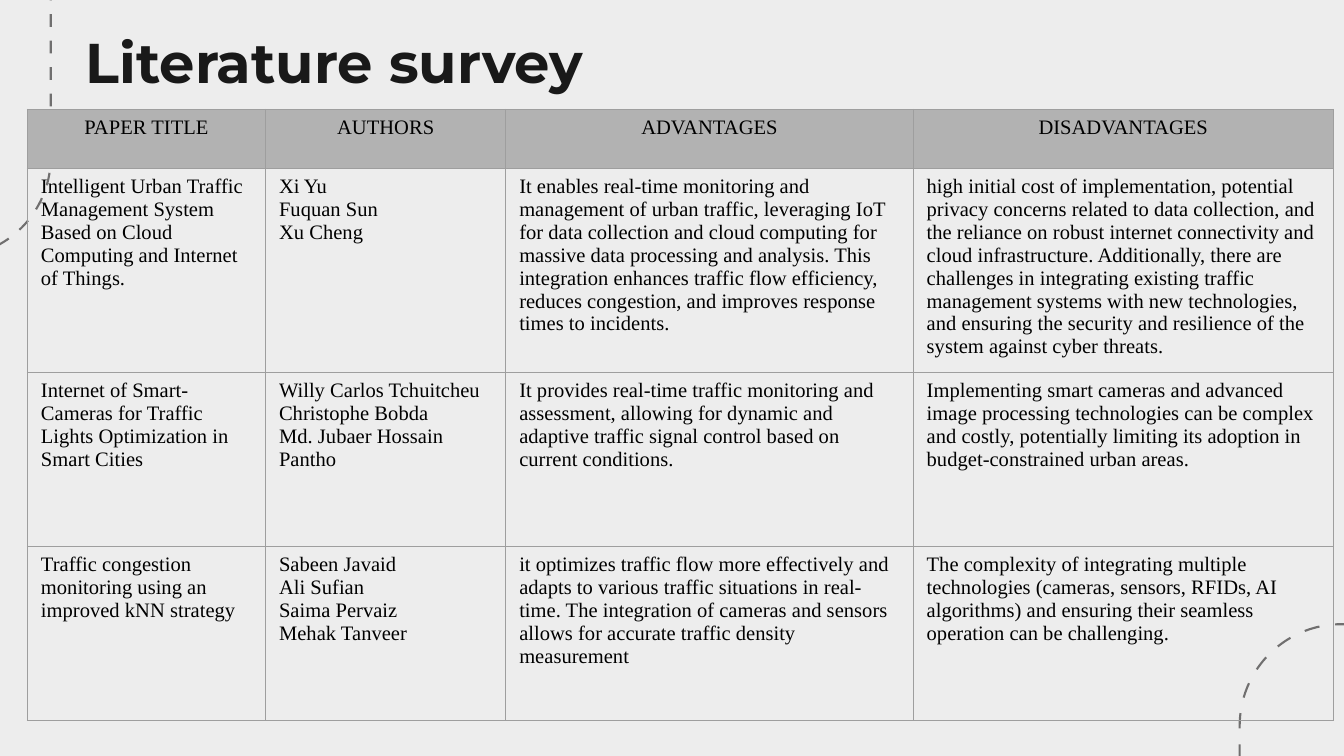
"""Build a one-slide literature survey with a bordered table and dashed arcs."""
from math import cos, pi, sin

from lxml import etree
from pptx import Presentation
from pptx.dml.color import RGBColor
from pptx.oxml import ns
from pptx.util import Cm, Pt
from pptx.enum import text

THEME = {
    "back": RGBColor.from_string("EDEDED"),
    "head": RGBColor.from_string("B2B2B2"),
    "title": RGBColor.from_string("191919"),
    "body": RGBColor.from_string("000000"),
    "dash": RGBColor.from_string("706F6F"),
    "rule": "9E9E9E",
    "rule_size": Pt(0.75),
    "title_font": ("Montserrat", Pt(30)),
    "body_font": ("Times New Roman", Pt(11)),
}
TITLE = "Literature survey"
HEADS = ["PAPER TITLE", "AUTHORS", "ADVANTAGES", "DISADVANTAGES"]
PAPERS = [
    (
        "Intelligent Urban Traffic Management System Based on Cloud Computing "
        "and Internet of Things.",
        "Xi Yu\nFuquan Sun\nXu Cheng",
        "It enables real-time monitoring and management of urban traffic, leveraging "
        "IoT for data collection and cloud computing for massive data processing and "
        "analysis. This integration enhances traffic flow efficiency, reduces "
        "congestion, and improves response times to incidents.",
        "high initial cost of implementation, potential privacy concerns related to "
        "data collection, and the reliance on robust internet connectivity and cloud "
        "infrastructure. Additionally, there are challenges in integrating existing "
        "traffic management systems with new technologies, and ensuring the security "
        "and resilience of the system against cyber threats.",
    ),
    (
        "Internet of Smart-Cameras for Traffic Lights Optimization in Smart Cities",
        "Willy Carlos Tchuitcheu\nChristophe Bobda\nMd. Jubaer Hossain Pantho",
        "It provides real-time traffic monitoring and assessment, allowing for dynamic "
        "and adaptive traffic signal control based on current conditions.",
        "Implementing smart cameras and advanced image processing technologies can be "
        "complex and costly, potentially limiting its adoption in budget-constrained "
        "urban areas.",
    ),
    (
        "Traffic congestion monitoring using an improved kNN strategy",
        "Sabeen Javaid\nAli Sufian\nSaima Pervaiz\nMehak Tanveer",
        "it optimizes traffic flow more effectively and adapts to various traffic "
        "situations in real-time. The integration of cameras and sensors allows for "
        "accurate traffic density measurement",
        "The complexity of integrating multiple technologies (cameras, sensors, RFIDs, "
        "AI algorithms) and ensuring their seamless operation can be challenging.",
    ),
]
COLS = [4.5, 4.54, 7.7, 7.94]
ROWS = [1.12, 3.73, 3.29, 3.29]
ROUTES = [
    dict(mid=(25.35, 13.72), rad=1.92, lead=1.82, turn=-1, sweep=pi / 2,
         step=0.59, dash=0.29, end=6.19),
    dict(mid=(-0.93, 2.97), rad=1.89, lead=3.2, turn=1, sweep=pi,
         step=0.5, dash=0.24, end=16.05),
]
HALF = 0.02
PARTS = 6


def spot(route, dist, off):
    size, turn = route["rad"], route["turn"]
    past = dist - route["lead"]
    bend = min(max(0, past / size), route["sweep"])
    run = past - bend * size
    x, y = route["mid"]
    rad = size + off
    return (
        Cm(x + turn * (rad * cos(bend) - run * sin(bend))),
        Cm(y + turn * (rad * sin(bend) + run * cos(bend))),
    )


def draw_route(slide, route):
    pen = None
    start = 0
    while start < route["end"]:
        size = min(route["dash"], route["end"] - start)
        marks = [start + size * i / PARTS for i in range(PARTS + 1)]
        edge = [spot(route, m, HALF) for m in marks]
        edge += [spot(route, m, -HALF) for m in reversed(marks)]
        if pen is None:
            pen = slide.shapes.build_freeform(*edge[0])
        else:
            pen.move_to(*edge[0])
        pen.add_line_segments(edge[1:], close=True)
        start += route["step"]
    shape = pen.convert_to_shape()
    shape.shadow.inherit = False
    shape.fill.solid()
    shape.fill.fore_color.rgb = THEME["dash"]
    shape.line.fill.background()


def style(para, face, color, bold=False):
    font = para.font
    font.name, font.size = face
    font.color.rgb = color
    font.bold = bold


def rule_cell(cell):
    props = cell._tc.get_or_add_tcPr()
    for i, side in enumerate("LRTB"):
        line = etree.Element(ns.qn("a:ln" + side), w=str(THEME["rule_size"]))
        fill = etree.SubElement(line, ns.qn("a:solidFill"))
        etree.SubElement(fill, ns.qn("a:srgbClr"), val=THEME["rule"])
        props.insert(i, line)


def draw_title(slide):
    box = slide.shapes.add_textbox(Cm(1.37), Cm(0.27), Cm(21.4), Cm(1.6))
    frame = box.text_frame
    frame.word_wrap = True
    frame.margin_left = frame.margin_right = Cm(0.25)
    frame.margin_top = frame.margin_bottom = Cm(0.25)
    frame.text = TITLE
    style(frame.paragraphs[0], THEME["title_font"], THEME["title"], True)


def draw_table(slide):
    table = slide.shapes.add_table(
        len(ROWS), len(COLS), Cm(0.52), Cm(2.07), Cm(sum(COLS)), Cm(sum(ROWS))
    ).table
    table.first_row = table.horz_banding = False
    for col, width in zip(table.columns, COLS):
        col.width = Cm(width)
    for r, (row, height, words) in enumerate(zip(table.rows, ROWS, [HEADS] + PAPERS)):
        row.height = Cm(height)
        for cell, word in zip(row.cells, words):
            cell.text = word
            cell.margin_bottom = 0
            if r == 0:
                cell.fill.solid()
                cell.fill.fore_color.rgb = THEME["head"]
            else:
                cell.fill.background()
            rule_cell(cell)
            for para in cell.text_frame.paragraphs:
                style(para, THEME["body_font"], THEME["body"])
                if r == 0:
                    para.alignment = text.PP_ALIGN.CENTER


def main():
    deck = Presentation()
    deck.slide_width, deck.slide_height = Cm(25.4), Cm(14.29)
    slide = deck.slides.add_slide(deck.slide_layouts[6])
    slide.background.fill.solid()
    slide.background.fill.fore_color.rgb = THEME["back"]
    for route in ROUTES:
        draw_route(slide, route)
    draw_title(slide)
    draw_table(slide)
    deck.save("out.pptx")


if __name__ == "__main__":
    main()
